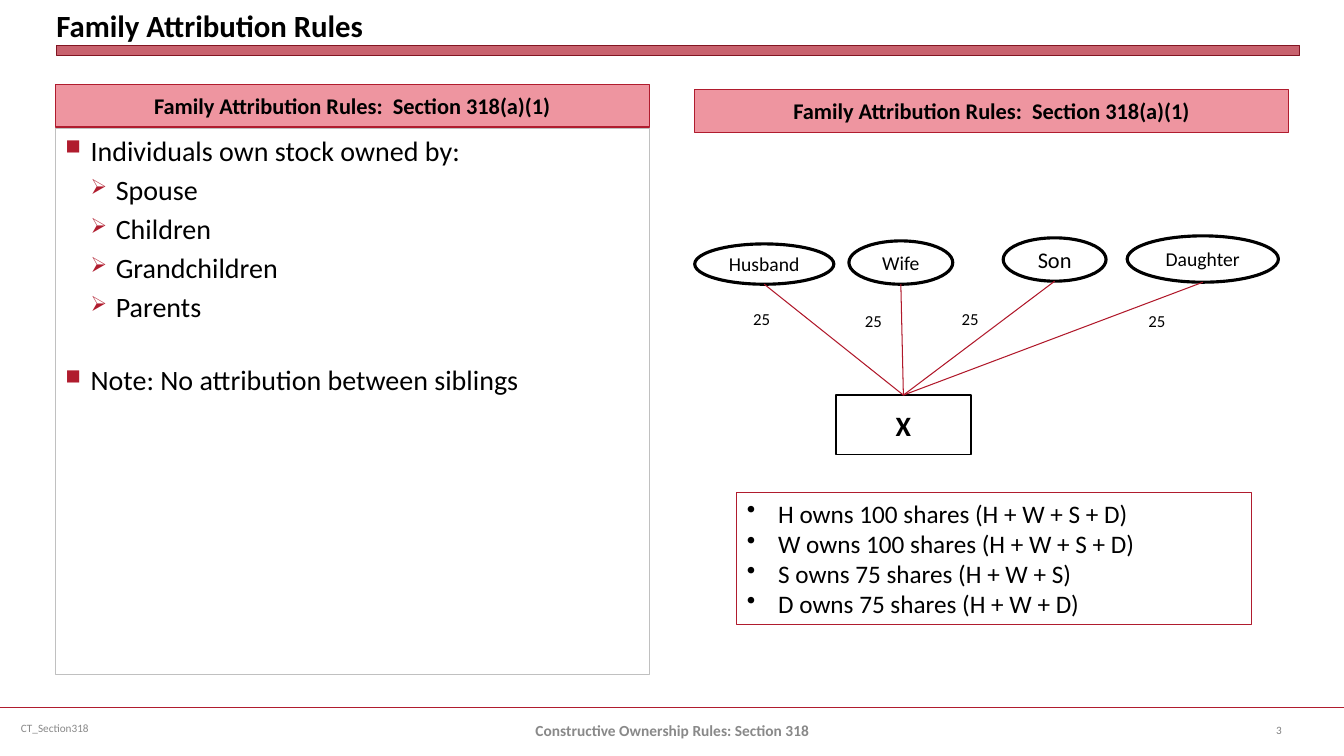
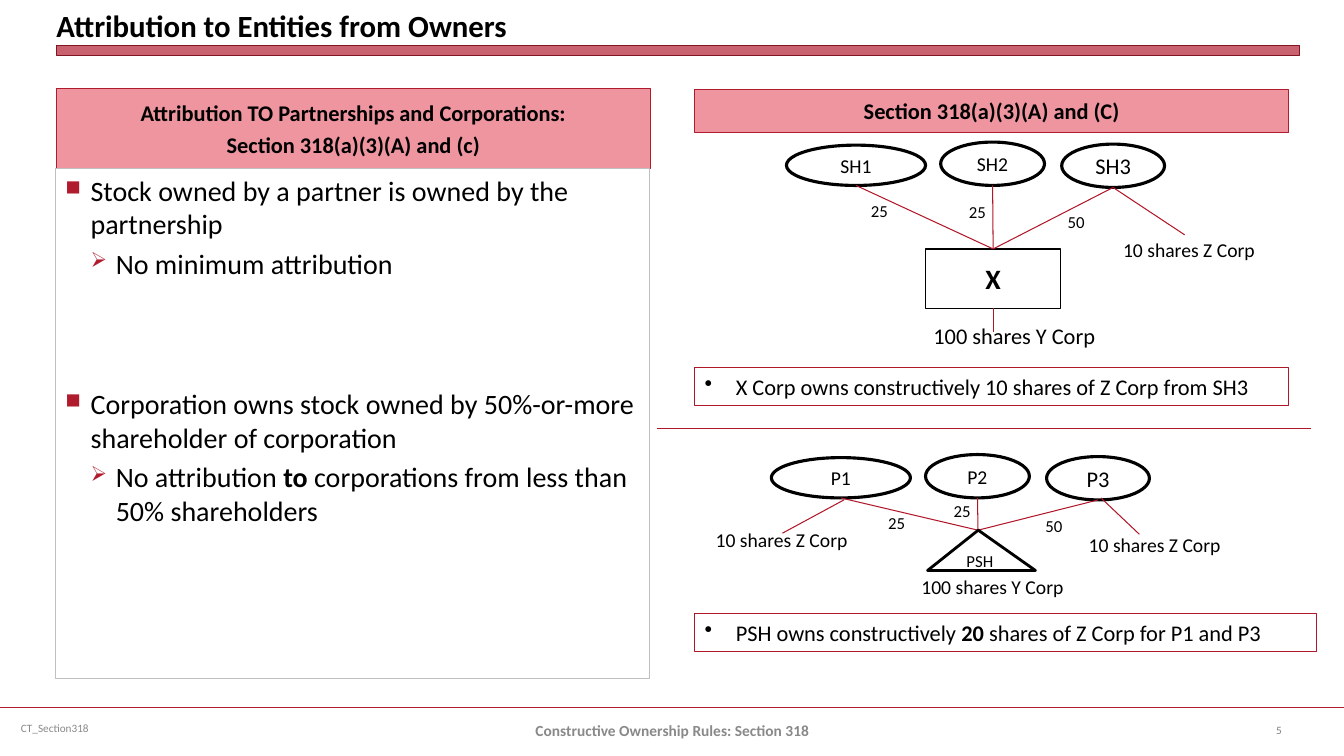
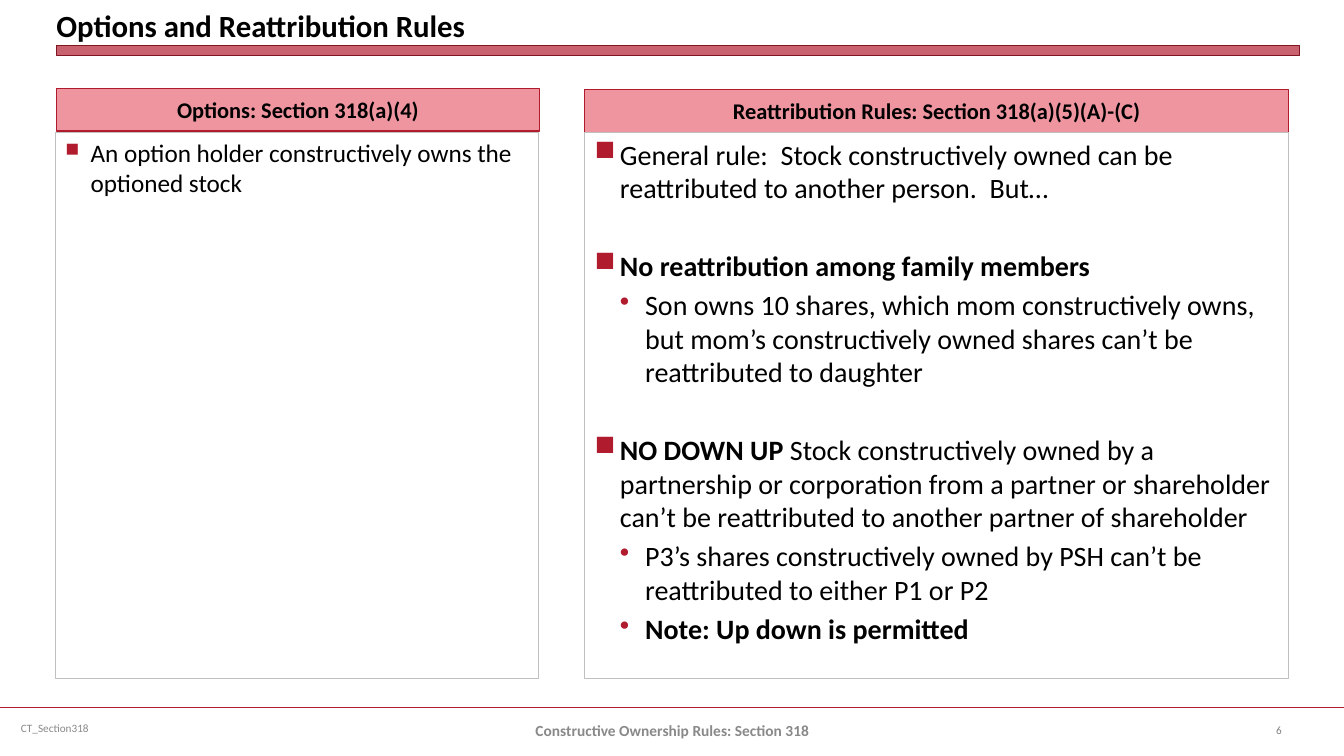
"""Build three slides on the constructive ownership rules of Section 318."""
import pptx
import pptx.util
import pptx.dml.color
import pptx.enum.shapes
import pptx.enum.text
import pptx.oxml
import pptx.oxml.ns

Inches = pptx.util.Inches
Pt = pptx.util.Pt
Color = pptx.dml.color.RGBColor
Kind = pptx.enum.shapes.MSO_SHAPE
Align = pptx.enum.text.PP_ALIGN
Anchor = pptx.enum.text.MSO_ANCHOR

RED = Color(0xB0, 0x1C, 0x2E)
LINK = Color(0xB0, 0x18, 0x2A)
EDGE = Color(0x82, 0x15, 0x22)
PINK = Color(0xEE, 0x95, 0xA0)
SILVER = Color(0xC0, 0xC0, 0xC0)
GRAY = Color(0x89, 0x89, 0x89)
DIM = Color(0x80, 0x80, 0x80)
BLACK = Color(0, 0, 0)
WHITE = Color(255, 255, 255)
FONT = "Calibri"
ARROWS = ("■", "➢")
DOTS = ("■", "•")


def add_xml(parent, tag, **attrs):
    node = pptx.oxml.parse_xml(f"<a:{tag} {pptx.oxml.ns.nsdecls('a')}/>")
    for key, value in attrs.items():
        node.set(key, value)
    parent.append(node)
    return node


def style(para, text, size, bold=False, color=BLACK, align=Align.LEFT, gap=0):
    para.alignment = align
    para.space_before = Pt(gap)
    font = para.font
    font.name, font.size, font.bold = FONT, Pt(size), bold
    font.color.rgb = color
    for i, part in enumerate(text.split("*")):
        if part:
            run = para.add_run()
            run.text = part
            if i % 2:
                run.font.bold = True


def bullet(para, char, left, hang, color=None, share=100):
    props = para._p.get_or_add_pPr()
    props.set("marL", str(Inches(left)))
    props.set("indent", str(-Inches(hang)))
    if color is not None:
        add_xml(add_xml(props, "buClr"), "srgbClr", val=str(color))
    add_xml(props, "buSzPct", val=str(share * 1000))
    add_xml(props, "buChar", char=char)


def paras(frame, items):
    for i, item in enumerate(items):
        yield (frame.add_paragraph() if i else frame.paragraphs[0]), item


def label(slide, box, text, size, anchor=Anchor.TOP, inset=True, **look):
    frame = slide.shapes.add_textbox(*map(Inches, box)).text_frame
    frame.word_wrap = True
    frame.vertical_anchor = anchor
    if not inset:
        frame.margin_left = frame.margin_right = 0
        frame.margin_top = frame.margin_bottom = 0
    style(frame.paragraphs[0], text, size, **look)


def shape(slide, kind, box, edge, width, fill=None):
    item = slide.shapes.add_shape(kind, *map(Inches, box))
    item.shadow.inherit = False
    if fill is None:
        item.fill.background()
    else:
        item.fill.solid()
        item.fill.fore_color.rgb = fill
    item.line.color.rgb = edge
    item.line.width = Pt(width)
    return item


def node(slide, kind, box, text, size, width, bold=False):
    item = shape(slide, kind, box, BLACK, width)
    item.text_frame.vertical_anchor = Anchor.MIDDLE
    style(item.text_frame.paragraphs[0], text, size, bold, align=Align.CENTER)
    return item


def line(slide, start, end, color=LINK, width=0.75):
    item = slide.shapes.add_connector(
        pptx.enum.shapes.MSO_CONNECTOR.STRAIGHT, *map(Inches, start + end))
    item.line.color.rgb = color
    item.line.width = Pt(width)
    add_xml(item._element.spPr, "effectLst")
    return item


def header(slide, box, *texts):
    frame = shape(slide, Kind.RECTANGLE, box, RED, 0.75, PINK).text_frame
    frame.word_wrap = True
    frame.vertical_anchor = Anchor.MIDDLE
    for para, text in paras(frame, texts):
        gap = 0 if text == texts[0] else 3.2
        style(para, text, 16, True, align=Align.CENTER, gap=gap)


def panel(slide, box, items, marks=ARROWS, share=75, size=20):
    frame = shape(slide, Kind.RECTANGLE, box, SILVER, 0.75, WHITE).text_frame
    frame.word_wrap = True
    frame.vertical_anchor = Anchor.TOP
    for para, (level, text, gap) in paras(frame, items):
        bullet(para, marks[level], 0.25 * (level + 1), 0.25, RED, share)
        style(para, text, size, gap=gap)


def result(slide, box, texts, size, color=LINK, fill=WHITE):
    frame = shape(slide, Kind.RECTANGLE, box, color, 0.75, fill).text_frame
    frame.word_wrap = True
    frame.vertical_anchor = Anchor.TOP
    for para, text in paras(frame, texts):
        bullet(para, "•", 0.31, 0.31)
        style(para, text, size)


def fan(slide, owners, tip, firm=None):
    for text, size, box in owners:
        node(slide, Kind.OVAL, box, text, size, 2.25)
        left, top, width, height = box
        link = line(slide, (left + width / 2, top + height), tip)
        if firm is not None:
            link.end_connect(firm, 0)


def stakes(slide, items):
    for text, left, top in items:
        label(slide, (left, top, 0.62, 0.3), text, 12)


def base(deck, title, number):
    slide = deck.slides.add_slide(deck.slide_layouts[6])
    line(slide, (0, 7.02), (13.33, 7.02), RED, 1.25)
    bar = shape(slide, Kind.RECTANGLE, (0.56, 0.45, 12.33, 0.1), EDGE, 0, RED)
    tint = bar._element.spPr.find(".//" + pptx.oxml.ns.qn("a:srgbClr"))
    add_xml(tint, "alpha", val="69000")
    label(slide, (0.56, 0, 12.33, 0.43), title, 22, Anchor.BOTTOM, False,
          bold=True)
    label(slide, (0.11, 7.02, 3.44, 0.4), "CT_Section318", 8, Anchor.MIDDLE,
          color=GRAY)
    label(slide, (4.56, 7.05, 4.22, 0.4),
          "Constructive Ownership Rules: Section 318", 11, Anchor.MIDDLE,
          bold=True, color=GRAY, align=Align.CENTER)
    label(slide, (12.56, 7.04, 0.67, 0.4), str(number), 8, Anchor.MIDDLE,
          color=DIM)
    return slide


def family(deck):
    slide = base(deck, "Family Attribution Rules", 3)
    for left, top in ((0.55, 0.84), (6.89, 0.89)):
        header(slide, (left, top, 5.89, 0.42),
               "Family Attribution Rules:  Section 318(a)(1)")
    kin = ("Spouse", "Children", "Grandchildren", "Parents")
    panel(slide, (0.55, 1.27, 5.89, 5.42), [
        (0, "Individuals own stock owned by:", 0),
        *((1, name, 4) for name in kin),
        (0, "Note: No attribution between siblings", 28)])
    firm = node(slide, Kind.RECTANGLE, (8.29, 3.92, 1.34, 0.59), "X", 20, 1,
                True)
    fan(slide, [
        ("Husband", 14, (6.89, 2.42, 1.38, 0.4)),
        ("Wife", 14, (8.42, 2.39, 1.03, 0.43)),
        ("Son", 16, (9.95, 2.36, 1.02, 0.43)),
        ("Daughter", 14, (11.18, 2.34, 1.5, 0.46))], (8.96, 3.92), firm)
    stakes(slide, [("25", 7.37, 3.01), ("25", 8.48, 3.03),
                   ("25", 9.44, 3.01), ("25", 11.29, 3.03)])
    result(slide, (7.31, 4.89, 5.1, 1.31), [
        "H owns 100 shares (H + W + S + D)",
        "W owns 100 shares (H + W + S + D)",
        "S owns 75 shares (H + W + S)",
        "D owns 75 shares (H + W + D)"], 18, RED, None)


def entity(deck):
    slide = base(deck, "Attribution to Entities from Owners", 5)
    header(slide, (0.56, 0.88, 5.89, 0.79),
           "Attribution TO Partnerships and Corporations:",
           "Section 318(a)(3)(A) and (c)")
    header(slide, (6.89, 0.89, 5.89, 0.42), "Section 318(a)(3)(A) and (C)")
    panel(slide, (0.55, 1.67, 5.89, 5.06), [
        (0, "Stock owned by a partner is owned by the partnership", 0),
        (1, "No minimum attribution", 4),
        (0, "Corporation owns stock owned by 50%-or-more shareholder of "
            "corporation", 76.5),
        (1, "No attribution *to* corporations from less than 50% "
            "shareholders", 4)])

    firm = node(slide, Kind.RECTANGLE, (9.18, 2.47, 1.34, 0.59), "X", 20, 1,
                True)
    fan(slide, [
        ("SH1", 14, (7.8, 1.44, 1.38, 0.4)),
        ("SH2", 14, (9.33, 1.41, 1.03, 0.43)),
        ("SH3", 16, (10.53, 1.43, 1.02, 0.43))], (9.85, 2.47), firm)
    stakes(slide, [("25", 8.54, 1.94), ("25", 9.51, 1.95),
                   ("50", 10.49, 2.05)])
    line(slide, (9.85, 3.06), (9.85, 3.29)).begin_connect(firm, 2)
    label(slide, (9.16, 3.15, 2, 0.37), "100 shares Y Corp", 16)
    result(slide, (6.89, 3.65, 5.89, 0.37),
           ["X Corp owns constructively 10 shares of Z Corp from SH3"], 16)
    line(slide, (6.52, 4.25), (13, 4.25))

    fan(slide, [
        ("P1", 14, (7.65, 4.54, 1.38, 0.4)),
        ("P2", 14, (9.18, 4.51, 1.03, 0.43)),
        ("P3", 16, (10.38, 4.53, 1.02, 0.43))], (9.7, 5.26))
    stakes(slide, [("25", 8.71, 5.04), ("25", 9.36, 4.92),
                   ("50", 10.27, 5.07)])
    group = node(slide, Kind.ISOSCELES_TRIANGLE, (9.2, 5.26, 1.07, 0.4),
                 "PSH", 12, 2)
    group.adjustments[0] = 0.47
    label(slide, (9.04, 5.65, 1.8, 0.34), "100 shares Y Corp", 14)
    result(slide, (6.89, 6.09, 6.17, 0.37),
           ["PSH owns constructively *20* shares of Z Corp for P1 and P3"], 16)

    for start, end, left, top in (
            ((11.04, 1.86), (11.75, 2.33), 11.04, 2.31),
            ((8.37, 4.96), (7.76, 5.29), 7, 5.19),
            ((10.92, 4.94), (11.3, 5.3), 10.7, 5.24)):
        line(slide, start, end)
        label(slide, (left, top, 1.7, 0.34), "10 shares Z Corp", 14)


def option(deck):
    slide = base(deck, "Options and Reattribution Rules", 6)
    header(slide, (0.56, 0.88, 4.79, 0.42), "Options: Section 318(a)(4)")
    header(slide, (5.8, 0.89, 6.98, 0.42),
           "Reattribution Rules: Section 318(a)(5)(A)-(C)")
    panel(slide, (0.55, 1.31, 4.79, 5.42), [
        (0, "An option holder constructively owns the optioned stock", 0)],
        size=18)
    panel(slide, (5.8, 1.31, 6.98, 5.42), [
        (0, "General rule:  Stock constructively owned can be reattributed "
            "to another person.  But…", 0),
        (0, "*No reattribution among family members*", 31.5),
        (1, "Son owns 10 shares, which mom constructively owns, but mom’s "
            "constructively owned shares can’t be reattributed to daughter",
         4),
        (0, "*NO DOWN UP *Stock constructively owned by a partnership or "
            "corporation from a partner or shareholder can’t be reattributed "
            "to another partner of shareholder", 31.5),
        (1, "P3’s shares constructively owned by PSH can’t be reattributed "
            "to either P1 or P2", 4),
        (1, "*Note: Up down is permitted*", 4)], DOTS, 100)


def main():
    deck = pptx.Presentation()
    deck.slide_width, deck.slide_height = Inches(13.33), Inches(7.5)
    family(deck)
    entity(deck)
    option(deck)
    deck.save("out.pptx")


if __name__ == "__main__":
    main()
